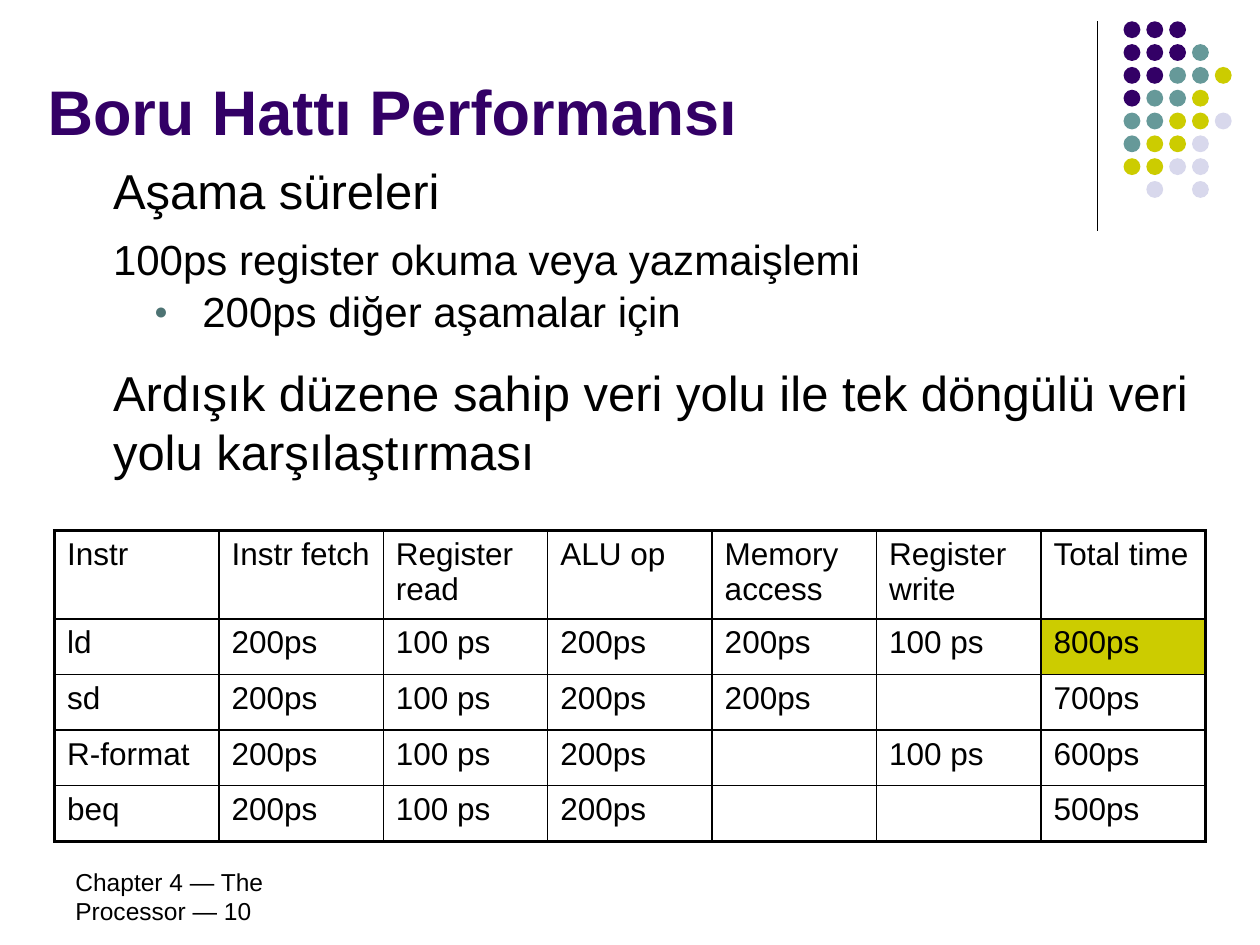
"""Build the pipeline performance slide with its stage time table."""
from lxml.etree import SubElement
from pptx import Presentation
from pptx.dml.color import RGBColor
from pptx.enum.shapes import MSO_CONNECTOR, MSO_SHAPE
from pptx.enum.text import MSO_ANCHOR
from pptx.oxml.ns import qn
from pptx.util import Cm, Pt

BLACK = RGBColor(0x00, 0x00, 0x00)
PURPLE = RGBColor(0x33, 0x00, 0x66)
TEAL = RGBColor(0x66, 0x99, 0x99)
DARK_TEAL = RGBColor(0x4D, 0x73, 0x73)
YELLOW = RGBColor(0xCC, 0xCC, 0x00)
LAVENDER = RGBColor(0xD8, 0xD8, 0xEC)

DOT_COLORS = {"P": PURPLE, "T": TEAL, "Y": YELLOW, "L": LAVENDER}
DOT_ROWS = ["PPP", "PPPT", "PPTTY", "PTTY", "TTYYL", "TYYL", "YYLL", " L L"]

BODY_LINES = [
    ("Aşama süreleri", 28, 3, False),
    ("100ps register okuma veya yazmaişlemi", 24, 8, False),
    ("200ps diğer aşamalar için", 24, 1, True),
    ("Ardışık düzene sahip veri yolu ile tek döngülü veri yolu karşılaştırması",
     28, 15, False),
]

STAGE_TIMES = [
    ["Instr", "Instr fetch", "Register read", "ALU op", "Memory access",
     "Register write", "Total time"],
    ["ld", "200ps", "100 ps", "200ps", "200ps", "100 ps", "800ps"],
    ["sd", "200ps", "100 ps", "200ps", "200ps", "", "700ps"],
    ["R-format", "200ps", "100 ps", "200ps", "", "100 ps", "600ps"],
    ["beq", "200ps", "100 ps", "200ps", "", "", "500ps"],
]
HIGHLIGHT = (1, 6)


def set_font(para, size, color=BLACK, bold=False):
    """Give a paragraph its font."""
    para.font.name = "Arial"
    para.font.size = Pt(size)
    para.font.bold = bold
    para.font.color.rgb = color


def add_box(page, left, top, width, height, anchor=MSO_ANCHOR.TOP):
    """Add a wrapping text box and return its text frame."""
    box = page.shapes.add_textbox(Cm(left), Cm(top), Cm(width), Cm(height))
    box.text_frame.word_wrap = True
    box.text_frame.vertical_anchor = anchor
    return box.text_frame


def set_indent(para, margin, indent):
    """Set the left margin and first-line indent of a paragraph."""
    properties = para._p.get_or_add_pPr()
    properties.set("marL", str(Cm(margin)))
    properties.set("indent", str(Cm(indent)))
    return properties


def add_bullet(properties):
    """Add a small round bullet to paragraph properties."""
    color = SubElement(properties, qn("a:buClr"))
    SubElement(color, qn("a:srgbClr"), val=str(DARK_TEAL))
    SubElement(properties, qn("a:buSzPct"), val="55000")
    SubElement(properties, qn("a:buFont"), typeface="Arial")
    SubElement(properties, qn("a:buChar"), char="●")


def add_body(page):
    """Add the body text with its single bulleted line."""
    frame = add_box(page, 1.9, 3.12, 23, 7.04)
    for index, (text, size, space, bulleted) in enumerate(BODY_LINES):
        para = frame.add_paragraph() if index else frame.paragraphs[0]
        para.text = text
        para.space_before = Pt(space)
        if bulleted:
            add_bullet(set_indent(para, 1.93, -0.97))
        else:
            set_indent(para, 0.13, 0)
        set_font(para, size)


def add_rule(page):
    """Add the thin vertical line beside the dots."""
    rule = page.shapes.add_connector(
        MSO_CONNECTOR.STRAIGHT, Cm(22.12), Cm(0.43), Cm(22.12), Cm(4.65))
    rule.line.color.rgb = BLACK
    rule.line.width = Pt(0.75)
    SubElement(rule._element.spPr, qn("a:effectLst"))


def add_dots(page):
    """Add the grouped grid of coloured dots."""
    group = page.shapes.add_group_shape()
    for row, codes in enumerate(DOT_ROWS):
        for column, code in enumerate(codes):
            if code == " ":
                continue
            dot = group.shapes.add_shape(
                MSO_SHAPE.OVAL, Cm(22.65 + 0.46 * column),
                Cm(0.43 + 0.46 * row), Cm(0.34), Cm(0.34))
            dot.shadow.inherit = False
            dot.fill.solid()
            dot.fill.fore_color.rgb = DOT_COLORS[code]
            dot.line.fill.background()


def set_borders(cell, **widths):
    """Draw black cell borders with the given widths in points."""
    properties = cell._tc.get_or_add_tcPr()
    for side, width in widths.items():
        line = SubElement(properties, qn(f"a:ln{side}"), w=str(Pt(width)))
        fill = SubElement(line, qn("a:solidFill"))
        SubElement(fill, qn("a:srgbClr"), val=str(BLACK))


def add_stage_table(page):
    """Add the table of stage times per instruction."""
    row_count, column_count = len(STAGE_TIMES), len(STAGE_TIMES[0])
    table = page.shapes.add_table(
        row_count, column_count, Cm(1.1), Cm(10.7), Cm(23.2), Cm(6.25)).table
    table.first_row = False
    table.horz_banding = False
    row_edges = [2.25, 1.5] + [1] * (row_count - 2) + [2.25]
    column_edges = [2.25] + [1] * (column_count - 1) + [2.25]
    for row, texts in enumerate(STAGE_TIMES):
        table.rows[row].height = Cm(1.12 if row else 1.77)
        for column, text in enumerate(texts):
            cell = table.cell(row, column)
            cell.text = text
            set_font(cell.text_frame.paragraphs[0], 18)
            set_borders(cell, L=column_edges[column], R=column_edges[column + 1],
                        T=row_edges[row], B=row_edges[row + 1])
            if (row, column) == HIGHLIGHT:
                cell.fill.solid()
                cell.fill.fore_color.rgb = YELLOW
            else:
                cell.fill.background()


def main():
    """Build and save the slide."""
    deck = Presentation()
    deck.slide_width, deck.slide_height = Cm(25.4), Cm(19.05)
    page = deck.slides.add_slide(deck.slide_layouts[6])
    add_rule(page)
    add_dots(page)
    footer = add_box(page, 1.27, 17.35, 5.92, 1.27).paragraphs[0]
    footer.text = "Chapter 4 — The Processor — 10"
    set_font(footer, 14)
    title = add_box(page, 0.71, 1.12, 21.4, 2, MSO_ANCHOR.BOTTOM).paragraphs[0]
    title.text = "Boru Hattı Performansı"
    set_font(title, 36, PURPLE, bold=True)
    add_body(page)
    add_stage_table(page)
    deck.save("out.pptx")


if __name__ == "__main__":
    main()
